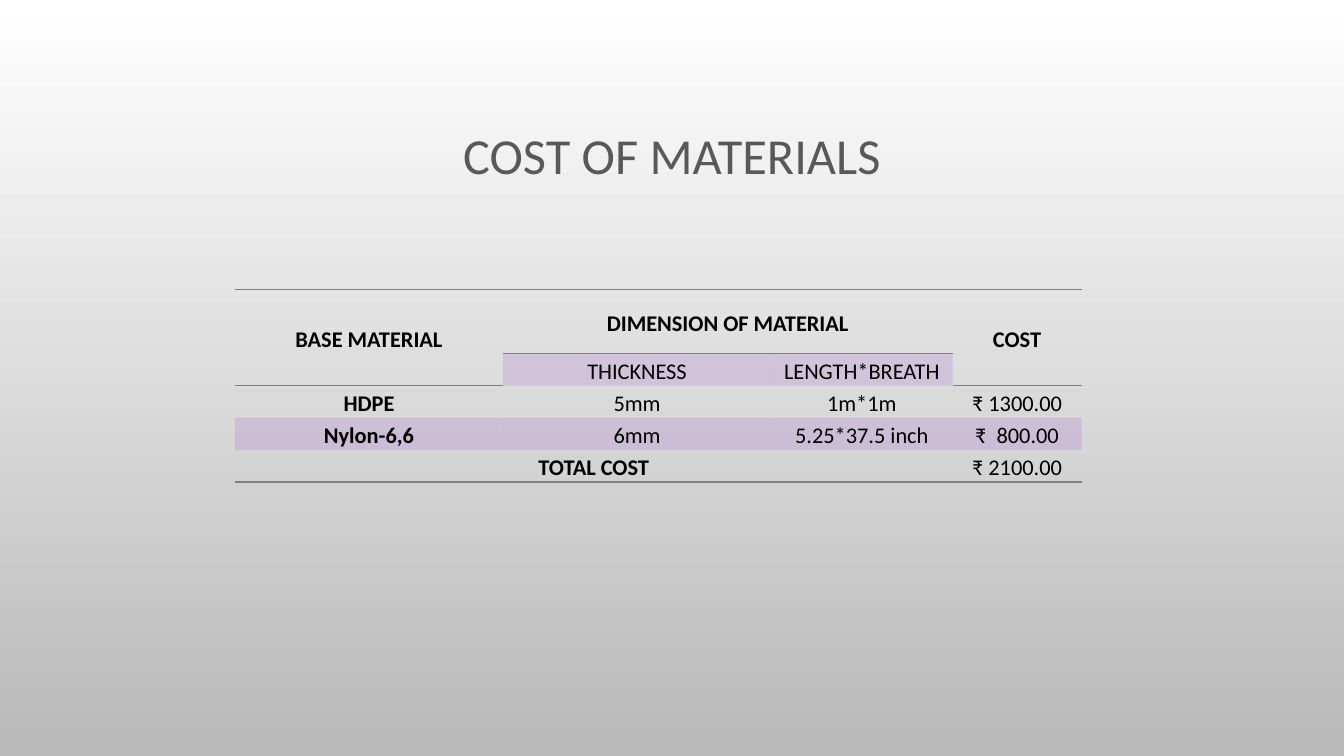
from lxml.etree import SubElement
from pptx import Presentation
from pptx.dml.color import RGBColor
from pptx.enum.text import MSO_ANCHOR, PP_ALIGN
from pptx.oxml.ns import qn
from pptx.util import Pt

WHITE = RGBColor(0xFF, 0xFF, 0xFF)
SILVER = RGBColor(0xB9, 0xB9, 0xB9)
TITLE_GRAY = RGBColor(0x59, 0x59, 0x59)
BLACK = RGBColor(0, 0, 0)
PURPLE = RGBColor(0xA3, 0x5D, 0xD1)
RULE_GRAY = RGBColor(0x80, 0x80, 0x80)

FONT = "Calibri"
PLAIN_TABLE_STYLE = "{2D5ABB26-0587-4C30-8999-92F81FD0307C}"
BAND_OPACITY = 20

COLUMN_WIDTHS = [191.5, 191.5, 129.6, 92.2]
ROW_HEIGHTS = [45.4, 23, 23, 23, 23]
ROWS = [
    ["BASE MATERIAL", "DIMENSION OF MATERIAL", "", "COST"],
    ["", "THICKNESS", "LENGTH*BREATH", ""],
    ["HDPE", "5mm", "1m*1m", "₹ 1300.00"],
    ["Nylon-6,6", "6mm", "5.25*37.5 inch", "₹  800.00"],
    ["TOTAL COST", "", "", "₹ 2100.00"],
]
# Each merge runs from its first cell to its last cell
MERGES = [((0, 0), (1, 0)), ((0, 1), (0, 2)), ((0, 3), (1, 3)), ((4, 0), (4, 2))]
BANDED_CELLS = {(1, 1), (1, 2)} | {(3, column) for column in range(4)}
RULED_BELOW = {(row, column) for row in (0, 4) for column in range(4)} | {(1, 0), (1, 3)}


def write_text(text_frame, text, size=16, color=BLACK, bold=False, line_spacing=1.15):
    text_frame.word_wrap = True
    paragraph = text_frame.paragraphs[0]
    paragraph.alignment = PP_ALIGN.CENTER
    paragraph.line_spacing = line_spacing
    run = paragraph.add_run()
    run.text = text
    run.font.name = FONT
    run.font.size = Pt(size)
    run.font.bold = bold
    run.font.color.rgb = color


def paint_background(slide):
    fill = slide.background.fill
    fill.gradient()
    fill.gradient_angle = 270
    for stop, color in zip(fill.gradient_stops, (WHITE, SILVER)):
        stop.color.rgb = color


def add_title(slide, text):
    shape = slide.shapes.add_textbox(Pt(72), Pt(49.7), Pt(816), Pt(126))
    shape.text_frame.vertical_anchor = MSO_ANCHOR.MIDDLE
    write_text(shape.text_frame, text, size=36, color=TITLE_GRAY, line_spacing=0.9)


def add_rule(cell, tag):
    line = SubElement(cell._tc.get_or_add_tcPr(), qn(tag), w=str(Pt(1)))
    solid = SubElement(line, qn("a:solidFill"))
    SubElement(solid, qn("a:srgbClr"), val=str(RULE_GRAY))


def fill_band(cell):
    cell.fill.solid()
    cell.fill.fore_color.rgb = PURPLE
    color = cell._tc.tcPr.find(qn("a:solidFill")).find(qn("a:srgbClr"))
    SubElement(color, qn("a:alpha"), val=str(BAND_OPACITY * 1000))


def format_cell(cell, row, column):
    cell.vertical_anchor = MSO_ANCHOR.MIDDLE
    cell.margin_left = cell.margin_right = Pt(5)
    cell.margin_top = cell.margin_bottom = Pt(0)
    # Borders come before the fill in the cell properties
    if row == 0:
        add_rule(cell, "a:lnT")
    if (row, column) in RULED_BELOW:
        add_rule(cell, "a:lnB")
    if (row, column) in BANDED_CELLS:
        fill_band(cell)
    else:
        cell.fill.background()


def add_cost_table(slide):
    frame = slide.shapes.add_table(
        len(ROWS), len(COLUMN_WIDTHS), Pt(167.8), Pt(207),
        Pt(sum(COLUMN_WIDTHS)), Pt(sum(ROW_HEIGHTS)))
    table = frame.table
    table.first_row = table.horz_banding = False
    table._tbl.tblPr.find(qn("a:tableStyleId")).text = PLAIN_TABLE_STYLE
    for table_column, width in zip(table.columns, COLUMN_WIDTHS):
        table_column.width = Pt(width)
    for table_row, height in zip(table.rows, ROW_HEIGHTS):
        table_row.height = Pt(height)
    for first, last in MERGES:
        table.cell(*first).merge(table.cell(*last))

    # Headings and the first column are bold
    for row, texts in enumerate(ROWS):
        for column, text in enumerate(texts):
            cell = table.cell(row, column)
            format_cell(cell, row, column)
            if text:
                write_text(cell.text_frame, text, bold=row == 0 or column == 0)


def main():
    presentation = Presentation()
    presentation.slide_width = Pt(960)
    presentation.slide_height = Pt(540)
    slide = presentation.slides.add_slide(presentation.slide_layouts[6])
    paint_background(slide)
    add_title(slide, "COST OF MATERIALS")
    add_cost_table(slide)
    presentation.save("out.pptx")


if __name__ == "__main__":
    main()
